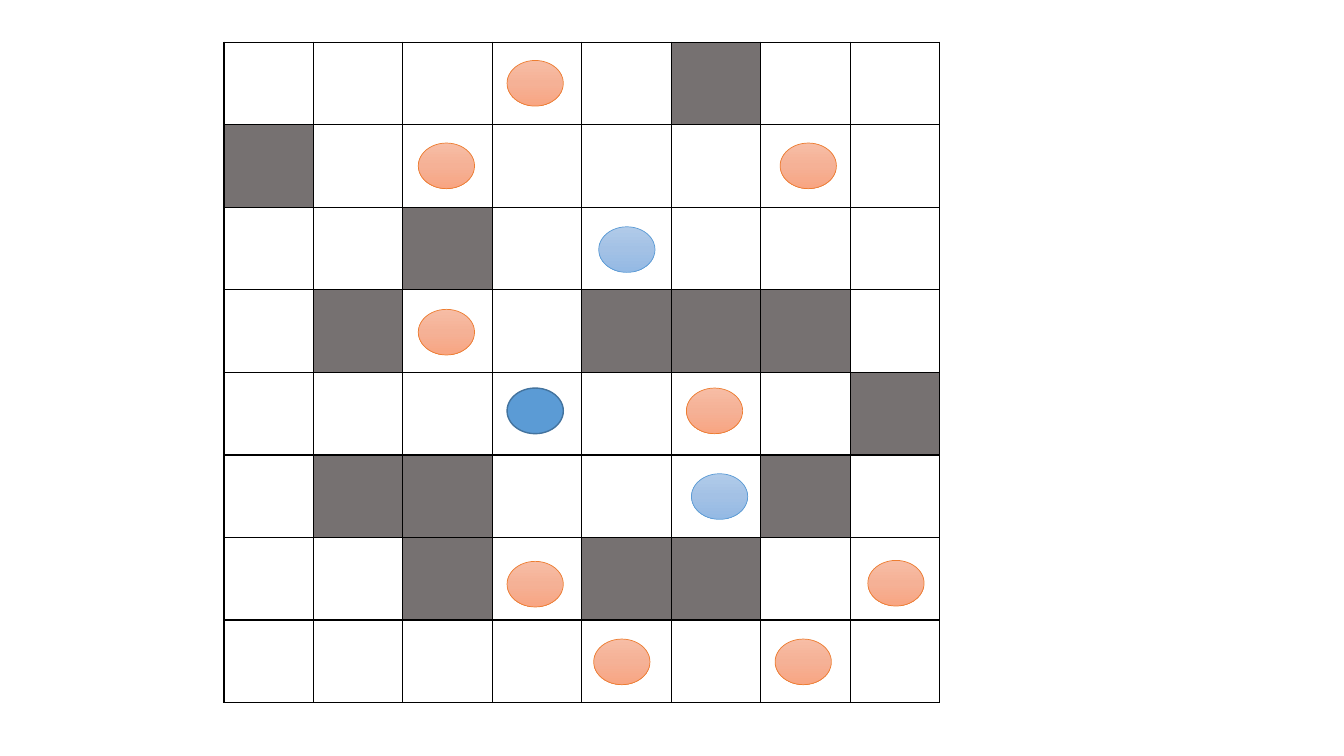
"""Build a slide with an 8 by 8 board of walls and coloured pieces."""
from copy import deepcopy

from lxml import etree
from pptx import Presentation
from pptx.dml.color import RGBColor
from pptx.enum.shapes import MSO_SHAPE
from pptx.oxml.ns import qn
from pptx.util import Pt

OVAL = MSO_SHAPE.OVAL
BOARD_LEFT, BOARD_TOP = 160, 30.2
CELL_WIDTH, CELL_HEIGHT = 63.9, 58.97
PIECE_WIDTH, PIECE_HEIGHT = 40.2, 32.6
WALL, GRID = "767171", "000000"
BOARD = [
    ".....#..",
    "#.......",
    "..#.....",
    ".#..###.",
    ".......#",
    ".##...#.",
    "..#.##..",
    "........",
]
PLAYER = ["5B9BD5"], "43739E", 1
BLUE = ["B1CBE9", "A3C1E5", "93B9E4"], "5B9BD5", 0.5
ORANGE = ["F7BDA5", "F5B196", "F8A582"], "ED7D31", 0.5
PIECES = [
    (PLAYER, [(362.2, 277.2)]),
    (BLUE, [(427.7, 162), (493.9, 338.4)]),
    (ORANGE, [(362.2, 43.2), (557.3, 102.2), (298.8, 102.2),
              (619.9, 400.3), (298.8, 221), (553.7, 456.5),
              (424.1, 456.5), (490.3, 277.2), (362.2, 401)]),
]


def rgb(value):
    """Return a colour from a hex string."""
    return RGBColor.from_string(value)


def add_borders(cell):
    """Draw a thin grid line on all four sides of a cell."""
    properties = cell._tc.get_or_add_tcPr()
    for side in ("a:lnL", "a:lnR", "a:lnT", "a:lnB"):
        border = etree.SubElement(properties, qn(side), w=str(Pt(1)))
        fill = etree.SubElement(border, qn("a:solidFill"))
        etree.SubElement(fill, qn("a:srgbClr"), val=GRID)


def add_board(slide):
    """Add the board as a table with its wall cells filled."""
    rows, columns = len(BOARD), len(BOARD[0])
    board = slide.shapes.add_table(
        rows, columns, Pt(BOARD_LEFT), Pt(BOARD_TOP),
        Pt(columns * CELL_WIDTH), Pt(rows * CELL_HEIGHT)).table
    board.first_row = board.horz_banding = False
    for column in board.columns:
        column.width = Pt(CELL_WIDTH)
    for row, marks in zip(board.rows, BOARD):
        row.height = Pt(CELL_HEIGHT)
        for cell, mark in zip(row.cells, marks):
            add_borders(cell)
            if mark == "#":
                cell.fill.solid()
                cell.fill.fore_color.rgb = rgb(WALL)
            else:
                cell.fill.background()


def fill_gradient(piece, colours):
    """Fill a piece from top to bottom with three evenly spaced colours."""
    piece.fill.gradient()
    piece.fill.gradient_angle = 270
    stops = piece._element.spPr.find(".//" + qn("a:gsLst"))
    stops.append(deepcopy(stops[-1]))
    for index, stop in enumerate(piece.fill.gradient_stops):
        stop.color.rgb = rgb(colours[index])
        stop.position = index / 2


def add_piece(slide, left, top, colours, outline, outline_width):
    """Add one oval piece to the board."""
    piece = slide.shapes.add_shape(
        OVAL, Pt(left), Pt(top), Pt(PIECE_WIDTH), Pt(PIECE_HEIGHT))
    piece.shadow.inherit = False
    if len(colours) == 1:
        piece.fill.solid()
        piece.fill.fore_color.rgb = rgb(colours[0])
    else:
        fill_gradient(piece, colours)
    piece.line.color.rgb = rgb(outline)
    piece.line.width = Pt(outline_width)


def main():
    """Build and save the slide."""
    deck = Presentation()
    deck.slide_width, deck.slide_height = Pt(960), Pt(540)
    slide = deck.slides.add_slide(deck.slide_layouts[6])
    add_board(slide)
    for look, places in PIECES:
        for left, top in places:
            add_piece(slide, left, top, *look)
    deck.save("out.pptx")


main()
